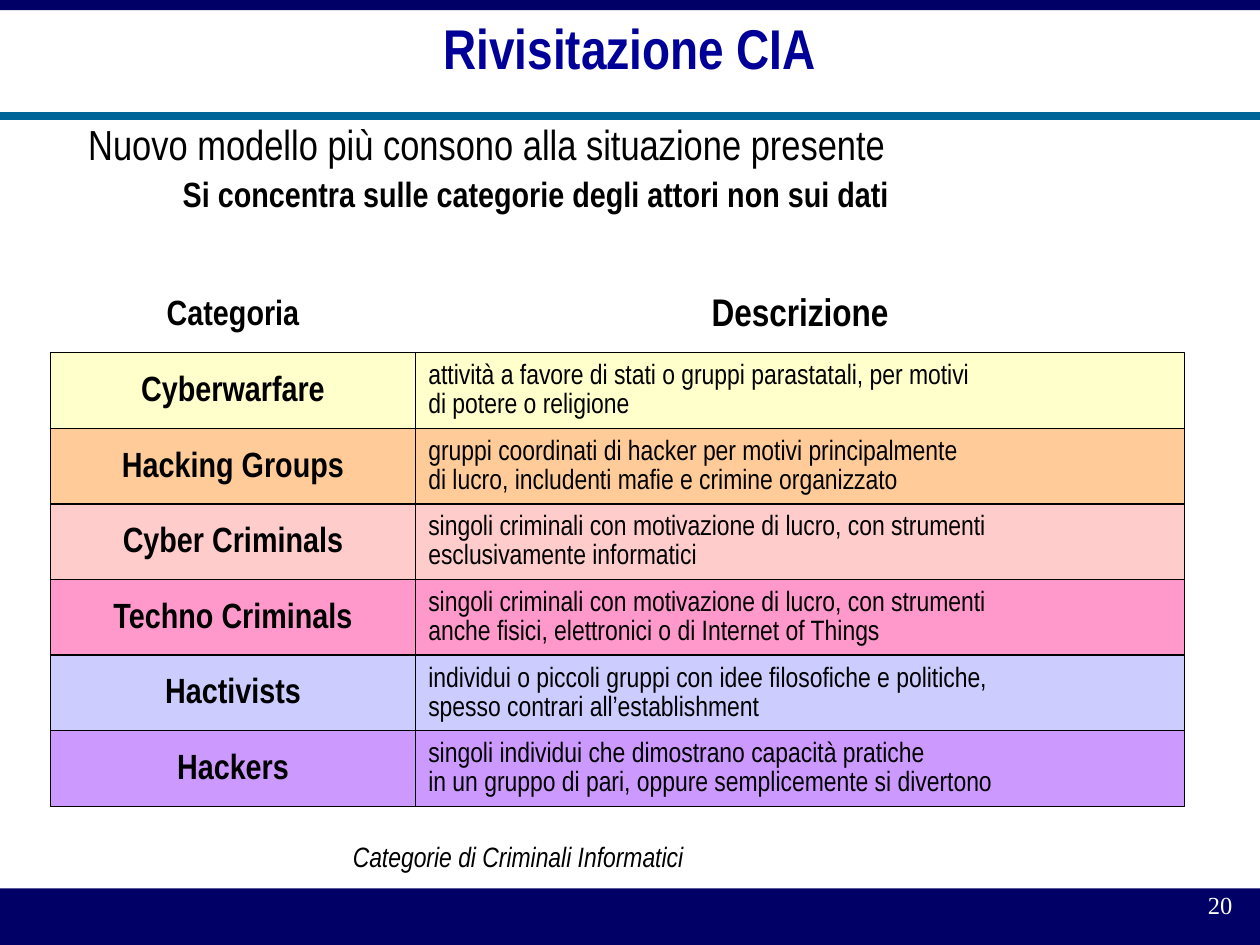
from dataclasses import dataclass
from typing import Optional

from lxml.etree import SubElement
from pptx import Presentation
from pptx.dml.color import RGBColor
from pptx.enum.shapes import MSO_CONNECTOR, MSO_SHAPE
from pptx.enum.text import MSO_ANCHOR, MSO_AUTO_SIZE, PP_ALIGN
from pptx.oxml.ns import qn
from pptx.util import Inches, Pt

WIDTH, HEIGHT = 10, 7.5


@dataclass(frozen=True)
class Theme:
    font: str = "Arial Narrow"
    number_font: str = "Times New Roman"
    navy: str = "000066"
    rule: str = "006699"
    title: str = "000099"
    ink: str = "000000"
    white: str = "FFFFFF"
    title_size: int = 32
    lead_size: int = 24
    header_size: int = 22
    label_size: int = 20
    text_size: int = 16
    number_size: int = 14
    line_spacing: float = 0.86


THEME = Theme()


@dataclass(frozen=True)
class Style:
    size: int
    color: str = THEME.ink
    font: str = THEME.font
    bold: bool = False
    italic: bool = False
    align: PP_ALIGN = PP_ALIGN.LEFT
    indent: float = 0
    level: int = 0
    space_before: float = 0


@dataclass(frozen=True)
class Box:
    left: float
    top: float
    width: float
    height: float

    def emu(self) -> list:
        return [Inches(v) for v in (self.left, self.top, self.width, self.height)]


@dataclass(frozen=True)
class Category:
    name: str
    description: str
    color: str


@dataclass(frozen=True)
class Grid:
    left: float
    top: float
    columns: tuple
    row_height: float

    def cell(self, row: int, column: int) -> Box:
        return Box(self.left + sum(self.columns[:column]),
                   self.top + row * self.row_height,
                   self.columns[column], self.row_height)


LABEL = Style(THEME.label_size, bold=True, align=PP_ALIGN.CENTER)
HEADER = Style(THEME.header_size, bold=True, align=PP_ALIGN.CENTER)
DESCRIPTION = Style(THEME.text_size, indent=0.1)
CAPTION = Style(THEME.text_size, italic=True)
TITLE = Style(THEME.title_size, THEME.title, bold=True, align=PP_ALIGN.CENTER)
LEAD = Style(THEME.lead_size, indent=0.5, level=4)
SUBLEAD = Style(THEME.label_size, bold=True, indent=1.25, level=2, space_before=5)
NUMBER = Style(THEME.number_size, THEME.white, THEME.number_font, align=PP_ALIGN.RIGHT)

ACTORS = Grid(left=0.4, top=2.2, columns=(2.9, 6.1), row_height=0.6)

CATEGORIES = [
    Category("Cyberwarfare",
             "attività a favore di stati o gruppi parastatali, per motivi\n"
             "di potere o religione", "FFFFCC"),
    Category("Hacking Groups",
             "gruppi coordinati di hacker per motivi principalmente\n"
             "di lucro, includenti mafie e crimine organizzato", "FFCC99"),
    Category("Cyber Criminals",
             "singoli criminali con motivazione di lucro, con strumenti\n"
             "esclusivamente informatici", "FFCCCC"),
    Category("Techno Criminals",
             "singoli criminali con motivazione di lucro, con strumenti\n"
             "anche fisici, elettronici o di Internet of Things", "FF99CC"),
    Category("Hactivists",
             "individui o piccoli gruppi con idee filosofiche e politiche,\n"
             "spesso contrari all’establishment", "CCCCFF"),
    Category("Hackers",
             "singoli individui che dimostrano capacità pratiche\n"
             "in un gruppo di pari, oppure semplicemente si divertono", "CC99FF"),
]


def write(shape, text: str, *styles: Style, anchor=MSO_ANCHOR.MIDDLE,
          margins: tuple = (0, 0)) -> None:
    """Fill a shape with text; the last style serves all remaining paragraphs."""
    frame = shape.text_frame
    frame.text = text
    frame.word_wrap = True
    frame.auto_size = MSO_AUTO_SIZE.NONE
    frame.vertical_anchor = anchor
    frame.margin_left = frame.margin_right = Inches(margins[0])
    frame.margin_top = frame.margin_bottom = Inches(margins[1])
    for index, paragraph in enumerate(frame.paragraphs):
        style = styles[min(index, len(styles) - 1)]
        paragraph.level = style.level
        paragraph.alignment = style.align
        paragraph.line_spacing = THEME.line_spacing
        paragraph.space_before = Pt(style.space_before)
        properties = paragraph._p.get_or_add_pPr()
        properties.set("marL", str(Inches(style.indent)))
        properties.set("indent", "0")
        SubElement(properties, qn("a:buNone"))
        for run in paragraph.runs:
            run.font.size = Pt(style.size)
            run.font.name = style.font
            run.font.bold = style.bold
            run.font.italic = style.italic
            run.font.color.rgb = RGBColor.from_string(style.color)


def add_rectangle(slide, box: Box, fill: str, outline: Optional[str] = None):
    rectangle = slide.shapes.add_shape(MSO_SHAPE.RECTANGLE, *box.emu())
    rectangle.shadow.inherit = False
    rectangle.fill.solid()
    rectangle.fill.fore_color.rgb = RGBColor.from_string(fill)
    if outline:
        rectangle.line.color.rgb = RGBColor.from_string(outline)
        rectangle.line.width = Pt(0)
    else:
        rectangle.line.fill.background()
    return rectangle


def add_text(slide, box: Box, text: str, style: Style, **layout) -> None:
    write(slide.shapes.add_textbox(*box.emu()), text, style, **layout)


def fill_placeholder(placeholder, box: Box, text: str, *styles: Style, **layout) -> None:
    placeholder.left, placeholder.top, placeholder.width, placeholder.height = box.emu()
    write(placeholder, text, *styles, **layout)


def add_frame(slide) -> None:
    """Bands at top and bottom, slide number and the rule under the title."""
    add_rectangle(slide, Box(0, 0.94 * HEIGHT, WIDTH, 0.06 * HEIGHT), THEME.navy)
    add_text(slide, Box(7.8, 0.94 * HEIGHT, 2.08, 0.33), "20", NUMBER,
             anchor=MSO_ANCHOR.TOP, margins=(0.1, 0.05))
    add_rectangle(slide, Box(0, 0, WIDTH, 0.08), THEME.navy)
    rule = slide.shapes.add_connector(MSO_CONNECTOR.STRAIGHT, 0, Inches(0.92),
                                      Inches(WIDTH), Inches(0.92))
    rule.line.color.rgb = RGBColor.from_string(THEME.rule)
    rule.line.width = Pt(4.5)
    SubElement(rule._element.spPr, qn("a:effectLst"))


def add_categories(slide) -> None:
    for row, category in enumerate(CATEGORIES, start=1):
        cells = ((category.name, LABEL), (category.description, DESCRIPTION))
        for column, (text, style) in enumerate(cells):
            cell = add_rectangle(slide, ACTORS.cell(row, column), category.color, THEME.ink)
            write(cell, text, style)
    add_text(slide, ACTORS.cell(0, 0), "Categoria", LABEL)
    add_text(slide, ACTORS.cell(0, 1), "Descrizione", HEADER)
    add_text(slide, Box(2.8, 6.7, 3.3, 0.26), "Categorie di Criminali Informatici",
             CAPTION, anchor=MSO_ANCHOR.TOP)


def main() -> None:
    deck = Presentation()
    deck.slide_width, deck.slide_height = Inches(WIDTH), Inches(HEIGHT)
    slide = deck.slides.add_slide(deck.slide_layouts[1])
    add_frame(slide)
    # Title and introduction
    fill_placeholder(slide.shapes.title, Box(0.2, 0, 9.6, 0.83), "Rivisitazione CIA", TITLE)
    fill_placeholder(slide.placeholders[1], Box(0.2, 1, 9.6, 2.2),
                     "Nuovo modello più consono alla situazione presente\n"
                     "Si concentra sulle categorie degli attori non sui dati",
                     LEAD, SUBLEAD, anchor=MSO_ANCHOR.TOP)
    add_categories(slide)
    deck.save("out.pptx")


if __name__ == "__main__":
    main()
